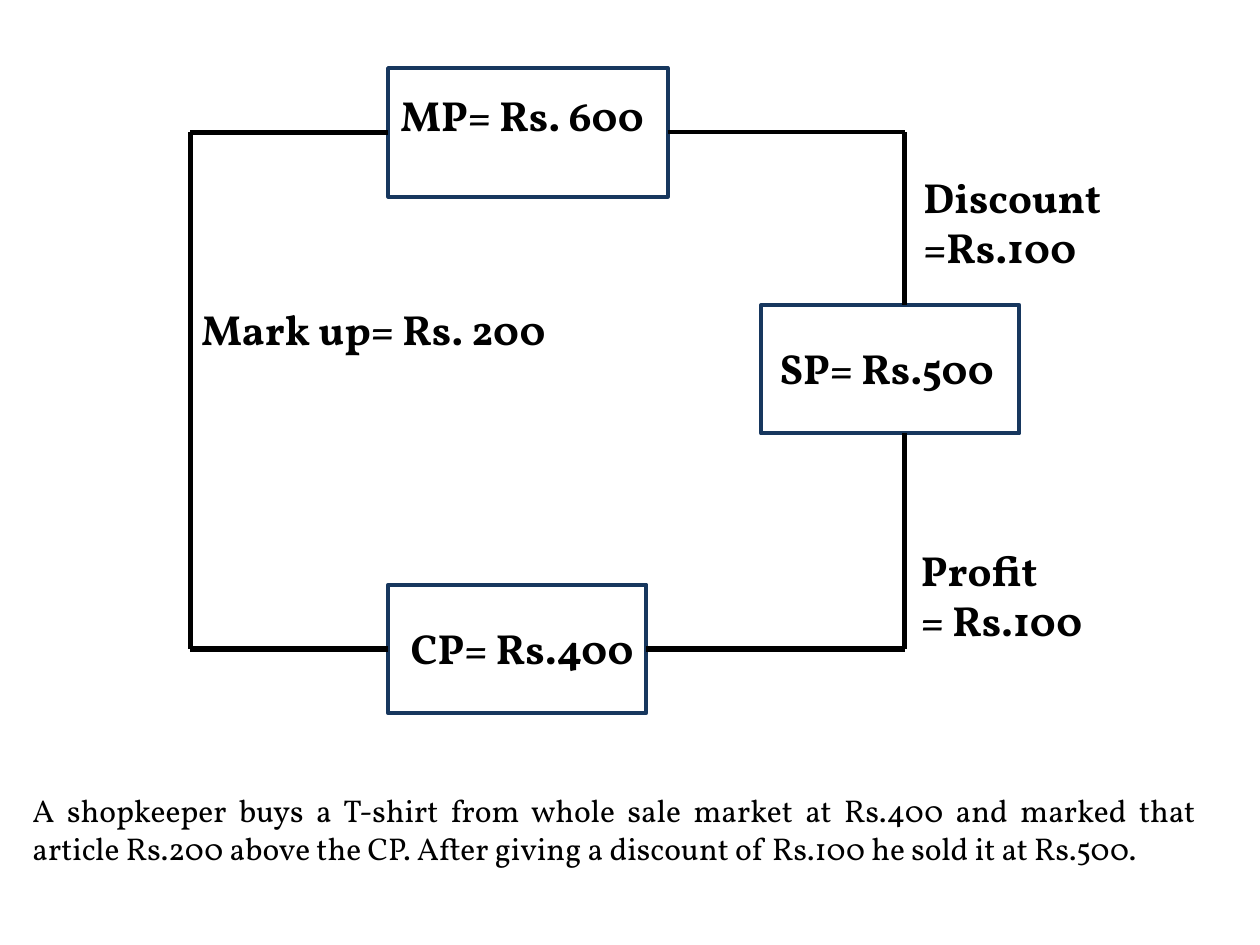
from dataclasses import dataclass

from lxml.etree import SubElement
from pptx import Presentation
from pptx.dml.color import RGBColor as Color
from pptx.enum.shapes import MSO_CONNECTOR as Connector, MSO_SHAPE as Shape
from pptx.enum.text import MSO_AUTO_SIZE as AutoSize, PP_ALIGN as Align
from pptx.oxml.ns import qn
from pptx.util import Inches, Pt

COLUMNS, ROWS = 100, 75
WIDTH, HEIGHT = Inches(10), Inches(7.5)
TOP, LEFT, RIGHT = 0, 1, 3


@dataclass(frozen=True)
class Theme:
    font: str = "Vollkorn"
    ink: Color = Color(0, 0, 0)
    paper: Color = Color(255, 255, 255)
    border: Color = Color(0x17, 0x37, 0x5E)
    label_size: int = 24
    story_size: int = 18
    border_width: float = 2.25
    link_width: float = 3


THEME = Theme()


def across(columns):
    return round(WIDTH * columns / COLUMNS)


def down(rows):
    return round(HEIGHT * rows / ROWS)


def place(column, row, columns, rows):
    return across(column), down(row), across(columns), down(rows)


def add_price_box(slide, *cells):
    box = slide.shapes.add_shape(Shape.RECTANGLE, *place(*cells))
    box.shadow.inherit = False
    box.fill.solid()
    box.fill.fore_color.rgb = THEME.paper
    box.line.color.rgb = THEME.border
    box.line.width = Pt(THEME.border_width)
    return box


def add_text(slide, text, cells, size=THEME.label_size, bold=True, align=Align.LEFT):
    frame = slide.shapes.add_textbox(*place(*cells)).text_frame
    frame.word_wrap = True
    frame.auto_size = AutoSize.SHAPE_TO_FIT_TEXT
    frame.text = text
    for paragraph in frame.paragraphs:
        paragraph.alignment = align
        for run in paragraph.runs:
            run.font.name = THEME.font
            run.font.size = Pt(size)
            run.font.bold = bold
            run.font.color.rgb = THEME.ink


def add_link(slide, start, end, width=THEME.link_width, begin=None, finish=None):
    link = slide.shapes.add_connector(
        Connector.STRAIGHT,
        across(start[0]), down(start[1]), across(end[0]), down(end[1]),
    )
    link.line.color.rgb = THEME.ink
    link.line.width = Pt(width)
    SubElement(link._element.spPr, qn("a:effectLst"))
    if begin:
        link.begin_connect(*begin)
    if finish:
        link.end_connect(*finish)


def add_price_cycle(slide):
    box_height = 10.2
    selling_top = 24.2
    selling_bottom = selling_top + box_height
    add_price_box(slide, 60.4, selling_top, 20.5, box_height)
    cost = add_price_box(slide, 30.8, 46.4, 20.5, box_height)
    marked = add_price_box(slide, 30.8, 5.4, 22.2, box_height)

    add_text(slide, "MP= Rs. 600", (30.8, 6.6, 22.2, 5))
    add_text(slide, "CP= Rs.400", (31.6, 48.9, 19.8, 5))
    add_text(slide, "SP= Rs.500", (60.9, 26.7, 19.4, 5))

    markup_x, sale_x = 15.1, 71.8
    marked_y, cost_y = 10.5, 51.5
    add_link(slide, (30.8, cost_y), (markup_x, cost_y), begin=(cost, LEFT))
    add_link(slide, (markup_x, cost_y), (markup_x, marked_y))
    add_link(slide, (markup_x, marked_y), (30.8, marked_y), finish=(marked, LEFT))
    add_link(slide, (53, marked_y), (sale_x, marked_y),
             width=THEME.border_width, begin=(marked, RIGHT))
    add_link(slide, (sale_x, marked_y), (sale_x, selling_top))
    add_link(slide, (sale_x, selling_bottom), (sale_x, cost_y))
    add_link(slide, (51.3, cost_y), (sale_x, cost_y), begin=(cost, RIGHT))


def add_changes(slide):
    add_text(slide, "Mark up= Rs. 200", (15, 23.6, 30.5, 5))
    add_text(slide, "Discount =Rs.100", (72.3, 13.1, 25.8, 9.1))
    add_text(slide, "Profit\n= Rs.100", (72.1, 42.7, 22.2, 9.1))


def main():
    deck = Presentation()
    deck.slide_width, deck.slide_height = WIDTH, HEIGHT
    slide = deck.slides.add_slide(deck.slide_layouts[6])
    add_price_cycle(slide)
    add_changes(slide)
    add_text(
        slide,
        "A shopkeeper buys a T-shirt from whole sale market at Rs.400 and marked "
        "that article Rs.200 above the CP. After giving a discount of Rs.100 "
        "he sold it at Rs.500.",
        (1.6, 62.3, 94.3, 7.1),
        size=THEME.story_size, bold=False, align=Align.JUSTIFY,
    )
    deck.save("out.pptx")


if __name__ == "__main__":
    main()
